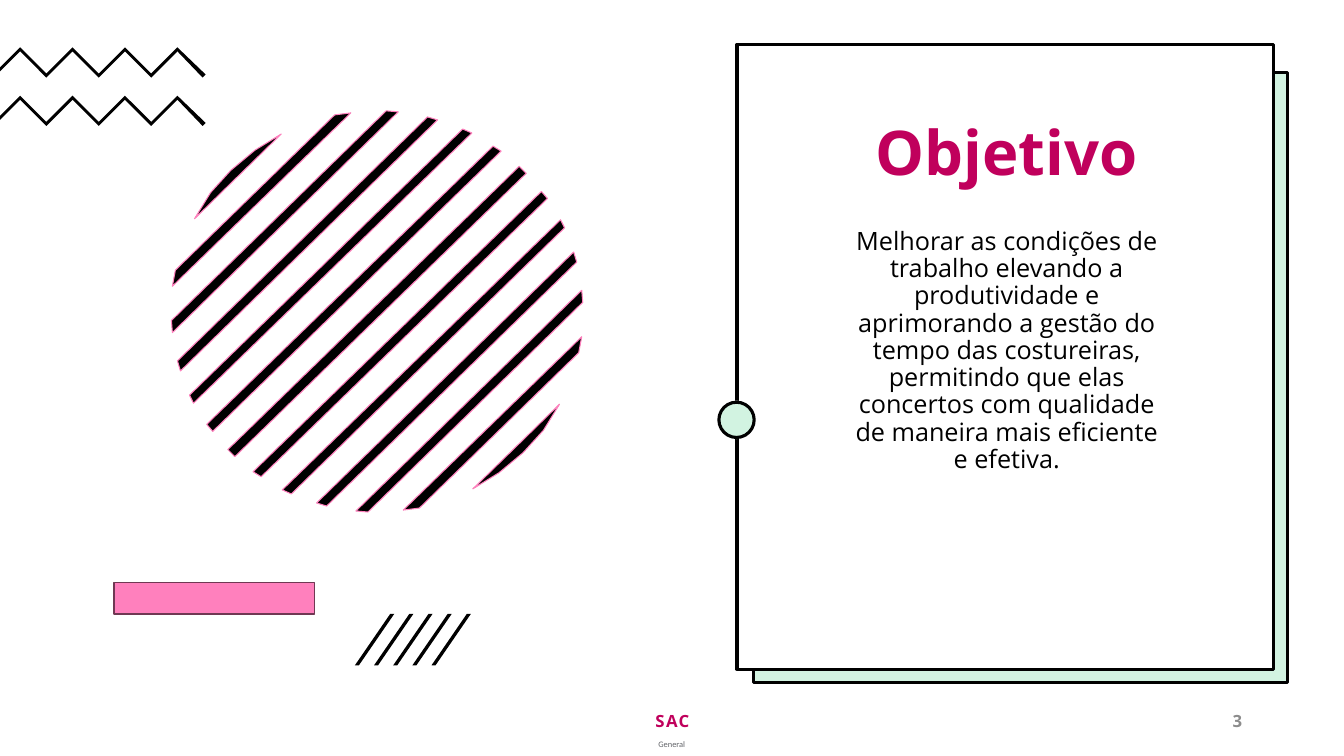
"""Build the "Objetivo" slide: a text card beside geometric decoration."""
from lxml import etree
from pptx import Presentation
from pptx.dml.color import RGBColor
from pptx.enum.shapes import MSO_SHAPE
from pptx.enum.text import MSO_ANCHOR, PP_ALIGN
from pptx.oxml.ns import qn
from pptx.util import Inches, Pt

RECTANGLE, OVAL = MSO_SHAPE.RECTANGLE, MSO_SHAPE.OVAL
LEFT, CENTER, RIGHT = PP_ALIGN.LEFT, PP_ALIGN.CENTER, PP_ALIGN.RIGHT
TOP, MIDDLE = MSO_ANCHOR.TOP, MSO_ANCHOR.MIDDLE

BLACK = RGBColor(0x00, 0x00, 0x00)
WHITE = RGBColor(0xFF, 0xFF, 0xFF)
GREEN = RGBColor(0x21, 0xC4, 0x6B)
PINK = RGBColor(0xFF, 0x80, 0xBD)
PLUM = RGBColor(0x70, 0x38, 0x53)
MAGENTA = RGBColor(0xC0, 0x00, 0x5C)
GRAY = RGBColor(0x8C, 0x8C, 0x8C)
SLATE = RGBColor(0x62, 0x64, 0x69)

OBJECTIVE = (
    "Melhorar as condições de trabalho elevando a produtividade e aprimorando "
    "a gestão do tempo das costureiras, permitindo que elas concertos com "
    "qualidade de maneira mais eficiente e efetiva."
)
TEXTS = [
    {"text": "General", "at": (6.53, 7.33, 0.29, 0.1), "align": LEFT, "anchor": TOP,
     "inset": 0, "wrap": False,
     "font": {"name": "Calibri", "size": Pt(6)}, "color": SLATE},
    {"text": "SAC", "at": (4.42, 6.95, 4.5, 0.4), "align": CENTER, "anchor": MIDDLE,
     "after": 6, "tracking": 100,
     "font": {"name": "Open Sans", "size": Pt(12), "bold": True}, "color": MAGENTA},
    {"text": "3", "at": (9.42, 6.95, 3, 0.4), "align": RIGHT, "anchor": MIDDLE,
     "after": 6, "tracking": 100,
     "font": {"name": "Open Sans", "size": Pt(12), "bold": True}, "color": GRAY},
    {"text": OBJECTIVE, "at": (8.33, 2.22, 3.31, 2.52), "align": CENTER, "anchor": TOP,
     "spacing": 0.9,
     "font": {"name": "Open Sans", "size": Pt(18)}, "color": BLACK},
    {"text": "Objetivo", "at": (8.33, 1.16, 3.31, 0.84), "align": CENTER, "anchor": TOP,
     "spacing": 0.9,
     "font": {"name": "Open Sans", "size": Pt(44), "bold": True}, "color": MAGENTA},
]

CARD_SHADE = (7.47, 0.72, 5.3, 6.05)
CARD = (7.31, 0.44, 5.32, 6.2)
KNOB = (7.13, 3.99, 0.35, 0.35)
BAR = (1.13, 5.78, 1.99, 0.31)

SLASH = [(3.56, 6.6), (3.52, 6.6), (3.87, 6.09), (3.91, 6.09)]
SLASH_COUNT, SLASH_PITCH = 5, 0.19
ZIGZAG_TOPS, ZIGZAG_GAP = (0.47, 0.95), 0.48
ZIGZAG_START, ZIGZAG_STEP, ZIGZAG_RISE, ZIGZAG_WEIGHT = 0.2, 0.26, 0.26, 0.04

DISC_CENTER = (3.74, 3.09)
MIDDLE_STRIPE = [(5.15, 1.65), (5.22, 1.72), (2.33, 4.53), (2.26, 4.46)]
UPPER_STRIPES = [
    [(2.79, 1.33), (1.93, 2.17), (2.09, 1.91), (2.29, 1.69), (2.53, 1.49)],
    [(3.48, 1.12), (1.71, 2.84), (1.74, 2.68), (3.32, 1.14)],
    [(3.95, 1.11), (1.71, 3.3), (1.7, 3.18), (3.83, 1.1)],
    [(4.34, 1.19), (1.79, 3.68), (1.76, 3.58), (4.24, 1.16)],
    [(4.68, 1.32), (1.92, 4), (1.88, 3.92), (4.59, 1.28)],
    [(4.97, 1.5), (2.11, 4.28), (2.05, 4.21), (4.89, 1.45)],
]


def paint(shape, fill, line=None, weight=2.25, opacity=None):
    shape.shadow.inherit = False
    shape.fill.solid()
    shape.fill.fore_color.rgb = fill
    if opacity is not None:
        color = shape.fill._xPr.find(qn("a:solidFill"))[0]
        etree.SubElement(color, qn("a:alpha"), val=str(opacity * 1000))
    if line is None:
        shape.line.fill.background()
    else:
        shape.line.color.rgb = line
        shape.line.width = Pt(weight)


def add_block(page, kind, at, *style):
    paint(page.shapes.add_shape(kind, *map(Inches, at)), *style)


def add_outline(page, points, *style):
    start, *rest = [(Inches(x), Inches(y)) for x, y in points]
    builder = page.shapes.build_freeform(*start)
    builder.add_line_segments(rest, close=True)
    paint(builder.convert_to_shape(), *style)


def add_tinted(page, kind, at):
    add_block(page, kind, at, WHITE, WHITE)
    add_block(page, kind, at, GREEN, BLACK, 2.25, 20)


def add_text(page, item):
    box = page.shapes.add_textbox(*map(Inches, item["at"]))
    frame = box.text_frame
    frame.word_wrap = item.get("wrap", True)
    frame.vertical_anchor = item["anchor"]
    if "inset" in item:
        for side in ("left", "right", "top", "bottom"):
            setattr(frame, f"margin_{side}", Inches(item["inset"]))
    para = frame.paragraphs[0]
    para.alignment = item["align"]
    para.space_after = Pt(item.get("after", 0))
    para.line_spacing = item.get("spacing", 1.0)
    span = para.add_run()
    span.text = item["text"]
    for name, value in item["font"].items():
        setattr(span.font, name, value)
    span.font.color.rgb = item["color"]
    if "tracking" in item:
        span.font._element.set("spc", str(item["tracking"]))


def zigzag(top):
    bends = [(ZIGZAG_START + i * ZIGZAG_STEP, top + i % 2 * ZIGZAG_RISE) for i in range(7)]
    under = [(x, y + ZIGZAG_WEIGHT) for x, y in reversed(bends)]
    tip = [(2.04, top + 0.27), (2.01, top + 0.3)]
    return bends + tip + under + [(0, top + 0.24), (0, top + 0.2)]


def half_turn(points):
    center_x, center_y = DISC_CENTER
    return [(2 * center_x - x, 2 * center_y - y) for x, y in points]


def main():
    deck = Presentation()
    deck.slide_width, deck.slide_height = Inches(13.33), Inches(7.5)
    page = deck.slides.add_slide(deck.slide_layouts[6])

    add_tinted(page, RECTANGLE, CARD_SHADE)
    add_block(page, RECTANGLE, CARD, WHITE, BLACK)
    for i in range(SLASH_COUNT):
        add_outline(page, [(x + i * SLASH_PITCH, y) for x, y in SLASH], BLACK)
    for top in ZIGZAG_TOPS:
        add_outline(page, zigzag(top), BLACK)
    add_tinted(page, OVAL, KNOB)

    lower_stripes = [half_turn(stripe) for stripe in reversed(UPPER_STRIPES)]
    for stripe in UPPER_STRIPES + [MIDDLE_STRIPE] + lower_stripes:
        add_outline(page, stripe, BLACK, PINK, 0.75)
    add_block(page, RECTANGLE, BAR, PINK, PLUM, 1)

    for item in TEXTS:
        add_text(page, item)
    deck.save("out.pptx")


if __name__ == "__main__":
    main()
